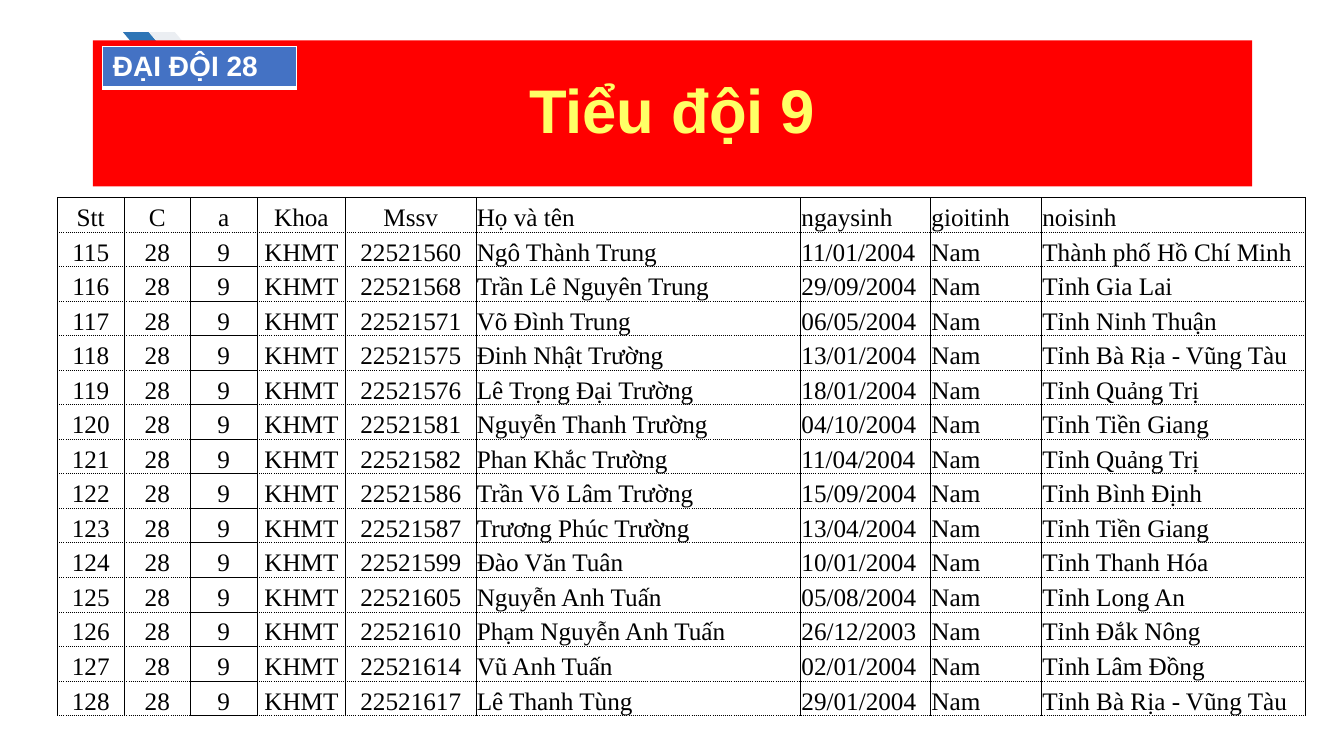
from dataclasses import dataclass

from lxml.etree import SubElement
from pptx import Presentation
from pptx.dml.color import RGBColor
from pptx.enum.shapes import MSO_SHAPE
from pptx.enum.text import MSO_ANCHOR, MSO_AUTO_SIZE, PP_ALIGN
from pptx.oxml.ns import qn
from pptx.util import Inches, Pt


@dataclass(frozen=True)
class Theme:
    """Colours, fonts and type sizes of the slide."""
    red: str = "FF0000"
    yellow: str = "FFFF66"
    blue: str = "4472C4"
    dark_blue: str = "2E75B6"
    pale: str = "EBEEF2"
    white: str = "FFFFFF"
    black: str = "000000"
    sans: str = "Arial"
    serif: str = "Times New Roman"
    title_size: int = 44
    badge_size: int = 20
    body_size: int = 18


THEME = Theme()
SOLID = (THEME.black, 0.5, "solid")
DOTTED = (THEME.black, 0.5, "dot")
HEADERS = ("Stt", "C", "a", "Khoa", "Mssv", "Họ và tên", "ngaysinh", "gioitinh", "noisinh")
COL_WIDTHS = (0.66, 0.66, 0.66, 0.88, 1.29, 3.22, 1.29, 1.1, 2.62)
CENTERED_COLS = 5
SQUAD_COL = 2
FIRST_NUMBER = 115
STUDENTS = (
    ("22521560", "Ngô Thành Trung", "11/01/2004", "Thành phố Hồ Chí Minh"),
    ("22521568", "Trần Lê Nguyên Trung", "29/09/2004", "Tỉnh Gia Lai"),
    ("22521571", "Võ Đình Trung", "06/05/2004", "Tỉnh Ninh Thuận"),
    ("22521575", "Đinh Nhật Trường", "13/01/2004", "Tỉnh Bà Rịa - Vũng Tàu"),
    ("22521576", "Lê Trọng Đại Trường", "18/01/2004", "Tỉnh Quảng Trị"),
    ("22521581", "Nguyễn Thanh Trường", "04/10/2004", "Tỉnh Tiền Giang"),
    ("22521582", "Phan Khắc Trường", "11/04/2004", "Tỉnh Quảng Trị"),
    ("22521586", "Trần Võ Lâm Trường", "15/09/2004", "Tỉnh Bình Định"),
    ("22521587", "Trương Phúc Trường", "13/04/2004", "Tỉnh Tiền Giang"),
    ("22521599", "Đào Văn Tuân", "10/01/2004", "Tỉnh Thanh Hóa"),
    ("22521605", "Nguyễn Anh Tuấn", "05/08/2004", "Tỉnh Long An"),
    ("22521610", "Phạm Nguyễn Anh Tuấn", "26/12/2003", "Tỉnh Đắk Nông"),
    ("22521614", "Vũ Anh Tuấn", "02/01/2004", "Tỉnh Lâm Đồng"),
    ("22521617", "Lê Thanh Tùng", "29/01/2004", "Tỉnh Bà Rịa - Vũng Tàu"),
)


def set_attrs(obj, values):
    """Set every attribute in values on obj."""
    for name, value in values.items():
        setattr(obj, name, value)


def set_fill(obj, color):
    """Give a shape or cell a solid fill."""
    obj.fill.solid()
    obj.fill.fore_color.rgb = RGBColor.from_string(color)


def write(tf, text, color, align=PP_ALIGN.LEFT, **font):
    """Write one formatted paragraph and return it."""
    p = tf.paragraphs[0]
    p.alignment = align
    r = p.add_run()
    r.text = text
    set_attrs(r.font, font)
    r.font.color.rgb = RGBColor.from_string(color)
    return p


def add_chevron(s, left, color):
    """Add a chevron of the template's corner mark."""
    sp = s.shapes.add_shape(MSO_SHAPE.CHEVRON, Inches(left), Inches(0.32), Inches(0.51), Inches(0.6))
    sp.shadow.inherit = False
    set_fill(sp, color)
    sp.line.fill.background()


def add_title(s, text):
    """Place the title placeholder as a red banner above the chevrons."""
    sp = s.shapes.title
    sp.element.getparent().append(sp.element)
    set_attrs(sp, {"left": Inches(0.92), "top": Inches(0.4), "width": Inches(11.5), "height": Inches(1.45)})
    set_fill(sp, THEME.red)
    tf = sp.text_frame
    set_attrs(tf, {"vertical_anchor": MSO_ANCHOR.MIDDLE, "auto_size": MSO_AUTO_SIZE.NONE, "word_wrap": True})
    p = write(tf, text, THEME.yellow, PP_ALIGN.CENTER, name=THEME.sans, size=Pt(THEME.title_size), bold=True)
    p.line_spacing = 0.9


def set_borders(cell, left, right, top, bottom):
    """Draw the four cell borders, each given as colour, width and dash."""
    tc_pr = cell._tc.get_or_add_tcPr()
    for side, (color, width, dash) in zip("LRTB", (left, right, top, bottom)):
        ln = SubElement(tc_pr, qn(f"a:ln{side}"), w=str(Pt(width)))
        fill = SubElement(ln, qn("a:solidFill"))
        SubElement(fill, qn("a:srgbClr"), val=color)
        SubElement(ln, qn("a:prstDash"), val=dash)


def add_plain_table(s, left, top, widths, row_height, rows):
    """Add an unbanded table with the given column widths."""
    tbl = s.shapes.add_table(rows, len(widths), Inches(left), Inches(top),
                             Inches(sum(widths)), Inches(row_height * rows)).table
    set_attrs(tbl, {"first_row": False, "horz_banding": False})
    for col, width in zip(tbl.columns, widths):
        col.width = Inches(width)
    return tbl


def add_roster(s):
    """Add the numbered student list."""
    rows = [HEADERS]
    for n, (code, name, born, place) in enumerate(STUDENTS, FIRST_NUMBER):
        rows.append((str(n), "28", "9", "KHMT", code, name, born, "Nam", place))
    tbl = add_plain_table(s, 0.57, 1.96, COL_WIDTHS, 5.14 / len(rows), len(rows))
    margins = {f"margin_{side}": Inches(0.01) for side in ("left", "right", "top")}
    layout = {**margins, "margin_bottom": 0, "vertical_anchor": MSO_ANCHOR.BOTTOM}
    for i, row in enumerate(rows):
        for j, text in enumerate(row):
            cell = tbl.cell(i, j)
            squad = j == SQUAD_COL
            top = SOLID if i == 0 or (squad and i > 1) else DOTTED
            bottom = SOLID if squad and i > 0 else DOTTED
            set_borders(cell, SOLID, SOLID, top, bottom)
            cell.fill.background()
            set_attrs(cell, layout)
            align = PP_ALIGN.CENTER if j < CENTERED_COLS else PP_ALIGN.LEFT
            write(cell.text_frame, text, THEME.black, align, name=THEME.serif, size=Pt(THEME.body_size))


def add_badge(s, text):
    """Add the one-cell company label over the banner."""
    cell = add_plain_table(s, 1.02, 0.46, (1.92,), 0.41, 1).cell(0, 0)
    thin = (THEME.white, 1, "solid")
    set_borders(cell, thin, thin, thin, (THEME.white, 3, "solid"))
    set_fill(cell, THEME.blue)
    write(cell.text_frame, text, THEME.white, name=THEME.sans, size=Pt(THEME.badge_size), bold=True)


def main():
    """Build and save the slide."""
    prs = Presentation()
    set_attrs(prs, {"slide_width": Inches(13.33), "slide_height": Inches(7.5)})
    s = prs.slides.add_slide(prs.slide_layouts[5])
    add_chevron(s, 1.22, THEME.dark_blue)
    add_chevron(s, 1.48, THEME.pale)
    add_title(s, "Tiểu đội 9")
    add_roster(s)
    add_badge(s, "ĐẠI ĐỘI 28")
    prs.save("out.pptx")


if __name__ == "__main__":
    main()
